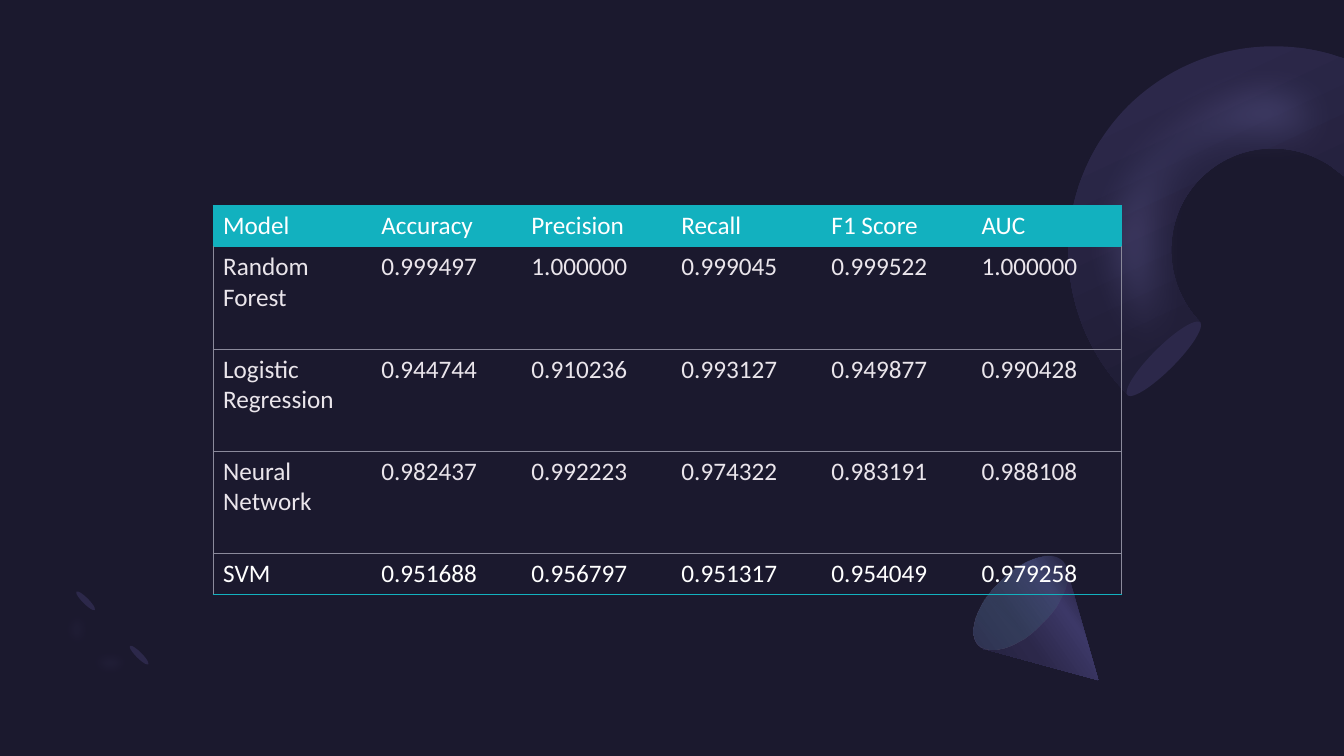
"""Build a dark slide with a table of model scores."""
import math

from lxml import etree
from pptx import Presentation
from pptx.dml.color import RGBColor
from pptx.enum import shapes
from pptx.oxml import ns
from pptx.util import Pt

NIGHT = RGBColor(0x1B, 0x19, 0x2E)
PLUM = RGBColor(0x2C, 0x28, 0x4A)
INDIGO = RGBColor(0x3C, 0x38, 0x67)
VIOLET = RGBColor(0x45, 0x40, 0x75)
LILAC = RGBColor(0x77, 0x71, 0xB2)
MINT = RGBColor(0x5B, 0xEF, 0xC1)
TEAL = RGBColor(0x12, 0xB1, 0xBF)
GREY = RGBColor(0x8B, 0x8A, 0x9B)
PALE = RGBColor(0xEA, 0xE5, 0xEB)
WHITE = RGBColor(0xFF, 0xFF, 0xFF)
NO_GRID_STYLE = "{2D5ABB26-0587-4C30-8999-92F81FD0307C}"


def write(cell, words, font="Calibri", size=18, color=WHITE):
    """Put formatted words into a table cell."""
    span = cell.text_frame.paragraphs[0].add_run()
    span.text = words
    span.font.name = font
    span.font.size = Pt(size)
    span.font.color.rgb = color


def trace(page, center, turn, start, *segments):
    """Draw a turned outline from lines (x, y) and cubic curves (six numbers)."""
    cosine, sine = math.cos(math.radians(turn)), math.sin(math.radians(turn))
    points = []
    for segment in (start, *segments):
        for x, y in zip(segment[::2], segment[1::2]):
            across, down = x - center[0], y - center[1]
            points.append((Pt(center[0] + across * cosine + down * sine),
                           Pt(center[1] - across * sine + down * cosine)))
    builder = page.shapes.build_freeform(*points[0], scale=1.0)
    builder.add_line_segments(points[1:], close=True)
    figure = builder.convert_to_shape()
    lines = iter(list(figure._element.iter(ns.qn("a:lnTo"))))
    for segment in segments:
        line = next(lines)
        if len(segment) == 6:
            curve = etree.Element(ns.qn("a:cubicBezTo"))
            line.addprevious(curve)
            for corner in (line, next(lines), next(lines)):
                curve.append(corner[0])
                corner.getparent().remove(corner)
    figure.rotation = turn
    return figure


deck = Presentation()
deck.slide_width, deck.slide_height = Pt(960), Pt(540)
page = deck.slides.add_slide(deck.slide_layouts[6])
page.background.fill.solid()
page.background.fill.fore_color.rgb = NIGHT

ring = trace(page, (852.8, 132.1), 315, (805.7, 282.2),
             (748.8, 225.4, 748.8, 132.5, 805.7, 75.6),
             (845.3, 36.7, 901.4, 24.5, 951.1, 38.9), (960, 41.8), (960, 126),
             (949.7, 118.1), (920.9, 99.4, 882.7, 102.2, 857.5, 127.4),
             (829.4, 155.5, 829.4, 201.6, 857.5, 230.4))
ring_glow = trace(page, (859.7, 144.4), 315, (823.7, 301),
                  (756.7, 234.7, 748.8, 134.6, 805.7, 77),
                  (841.7, 41.8, 894.2, 31.7, 944.6, 44.6), (959, 49.7), (959, 131),
                  (957.6, 131), (926.6, 113, 889.2, 114.5, 866.2, 137.5),
                  (838.1, 166.3, 841.7, 216, 874.8, 249.8))
cone = trace(page, (749.5, 450.7), 135, (784.8, 485.3), (703.4, 463), (702.7, 463),
             (701.3, 462.2, 700.6, 461.5, 699.1, 460.1),
             (691.2, 452.2, 697.7, 432, 714.2, 415.4),
             (730.8, 398.9, 751, 391.7, 759.6, 400.3),
             (760.3, 401, 761, 402.5, 761.8, 403.9), (761.8, 404.6))
arc = trace(page, (67.3, 461.9), 45, (54.7, 474.5),
            (40.3, 460.1, 40.3, 437, 54.7, 422.6), (67.7, 435.6),
            (60.5, 442.8, 60.5, 454.3, 67.7, 461.5),
            (74.2, 468.7, 86.4, 468.7, 92.9, 461.5), (105.8, 474.5),
            (92.2, 488.9, 68.4, 488.9, 54.7, 474.5))
arc_glow = trace(page, (68.8, 459.4), 45, (54.7, 474.5),
                 (40.3, 460.1, 41.8, 435.6, 58.3, 419), (71.3, 432),
                 (62.6, 439.9, 61.9, 452.9, 69.1, 459.4),
                 (76.3, 466.6, 88.6, 465.8, 97.2, 457.9), (109.4, 470.9),
                 (93.6, 486.7, 68.4, 488.9, 54.7, 474.5))

ovals = []
for left, top, width, height, turn, neighbour in (
        (823, 219.6, 16.6, 73.4, 225, ring_glow), (707.8, 388.1, 42.5, 85, 225, cone),
        (97.2, 458.6, 4.3, 18.7, 135, arc), (59, 419.8, 4.3, 18.7, 135, arc)):
    oval = page.shapes.add_shape(shapes.MSO_SHAPE.OVAL, Pt(left), Pt(top), Pt(width), Pt(height))
    oval.rotation = turn
    neighbour._element.addnext(oval._element)
    ovals.append(oval)
ring_end, cone_base, *arc_ends = ovals

for figure, color in ((ring_glow, LILAC), (arc, NIGHT), (arc_glow, LILAC),
                      (ring_end, PLUM), *((end, PLUM) for end in arc_ends)):
    figure.fill.solid()
    figure.fill.fore_color.rgb = color

for figure in (ring, ring_glow, cone, arc, arc_glow, *ovals):
    figure.line.fill.background()
    figure.shadow.inherit = False

for figure, angle, stops in (
        (ring, 110, ((31, PLUM, 100), (97, NIGHT, 100))),
        (cone, 10, ((30, PLUM, 100), (40, INDIGO, 100), (60, PLUM, 100), (100, NIGHT, 100))),
        (cone_base, 90, ((0, VIOLET, 33), (100, MINT, 0)))):
    figure.fill.gradient()
    gradient = figure._element.spPr.find(ns.qn("a:gradFill"))
    for child in list(gradient):
        gradient.remove(child)
    stop_list = etree.SubElement(gradient, ns.qn("a:gsLst"))
    for place, color, opacity in stops:
        stop = etree.SubElement(stop_list, ns.qn("a:gs"), pos=str(place * 1000))
        tint = etree.SubElement(stop, ns.qn("a:srgbClr"), val=str(color))
        if opacity < 100:
            etree.SubElement(tint, ns.qn("a:alpha"), val=str(opacity * 1000))
    etree.SubElement(gradient, ns.qn("a:lin"), ang=str(angle * 60000), scaled="0")

for glow, opacity, radius in ((ring_glow, 40, 28), (arc_glow, 20, 8)):
    properties = glow._element.spPr
    tint = properties.find(ns.qn("a:solidFill"))[0]
    etree.SubElement(tint, ns.qn("a:alpha"), val=str(opacity * 1000))
    effects = properties.find(ns.qn("a:effectLst"))
    etree.SubElement(effects, ns.qn("a:softEdge"), rad=str(Pt(radius)))

scores = (
    ("Model", "Accuracy", "Precision", "Recall", "F1 Score", "AUC"),
    ("Random Forest", "0.999497", "1.000000", "0.999045", "0.999522", "1.000000"),
    ("Logistic Regression", "0.944744", "0.910236", "0.993127", "0.949877", "0.990428"),
    ("Neural Network", "0.982437", "0.992223", "0.974322", "0.983191", "0.988108"),
    ("SVM", "0.951688", "0.956797", "0.951317", "0.954049", "0.979258"),
)
last_row, last_column = len(scores) - 1, len(scores[0]) - 1
table = page.shapes.add_table(len(scores), len(scores[0]), Pt(152.2), Pt(147),
                              Pt(649), Pt(277.6)).table
table.first_row = table.horz_banding = False
table._tbl.tblPr.find(ns.qn("a:tableStyleId")).text = NO_GRID_STYLE
for index, column in enumerate(table.columns):
    column.width = Pt(107.2 if index else 113)
for index, row in enumerate(table.rows):
    row.height = Pt(29.3 if index in (0, last_row) else 73)

for r, row in enumerate(scores):
    for c, words in enumerate(row):
        cell = table.cell(r, c)
        write(cell, words, color=WHITE if r in (0, last_row) else PALE)
        side = GREY if r else TEAL
        borders = {
            "a:lnL": side if c == 0 else None,
            "a:lnR": side if c == last_column else None,
            "a:lnT": TEAL if r < 2 else GREY,
            "a:lnB": TEAL if r in (0, last_row) else GREY,
        }
        for edge, color in borders.items():
            if color is not None:
                line = etree.SubElement(cell._tc.get_or_add_tcPr(), ns.qn(edge), w=str(Pt(0.5)))
                paint = etree.SubElement(line, ns.qn("a:solidFill"))
                etree.SubElement(paint, ns.qn("a:srgbClr"), val=str(color))
        if r == 0:
            cell.fill.solid()
            cell.fill.fore_color.rgb = TEAL
        else:
            cell.fill.background()

deck.save("out.pptx")
